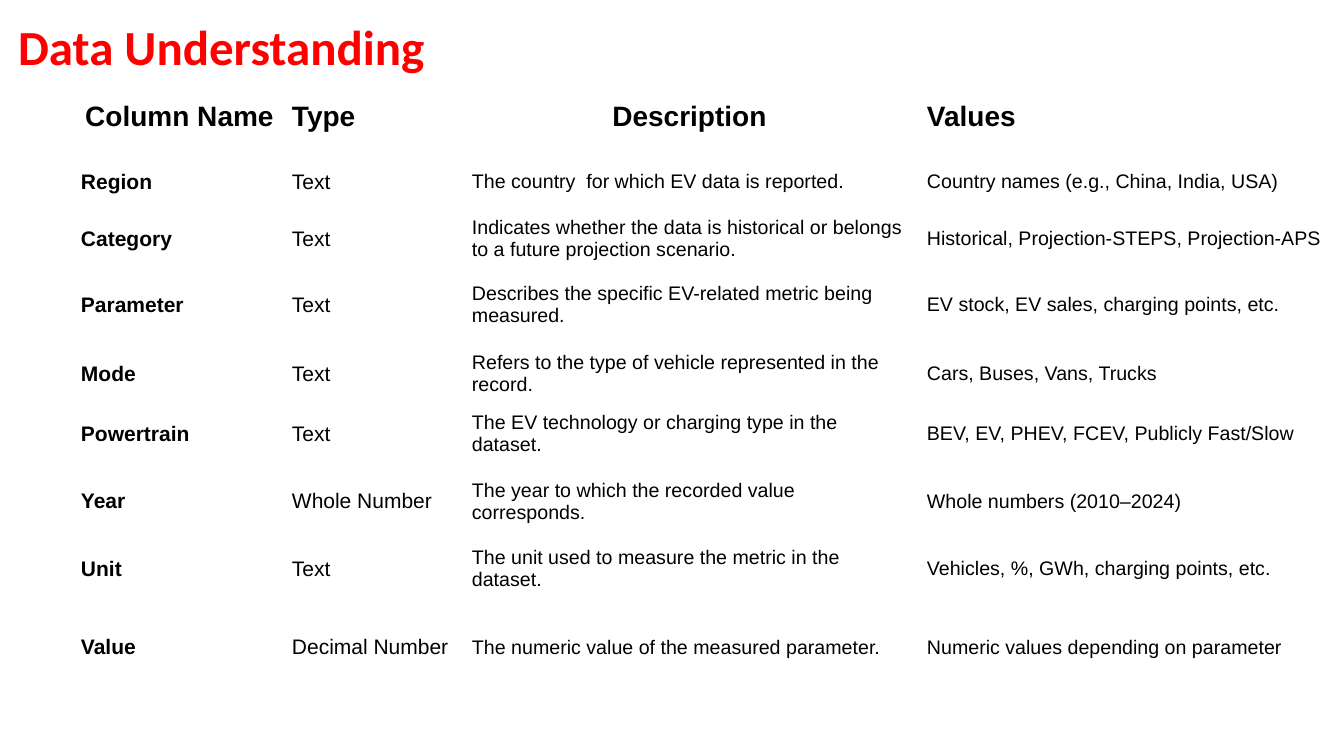
from pptx import Presentation
from pptx.dml.color import RGBColor
from pptx.enum.text import MSO_ANCHOR as Anchor, MSO_AUTO_SIZE as AutoSize, PP_ALIGN as Align
from pptx.util import Emu, Pt

EMU_PER_PX = 914400 / 100.8
RED = RGBColor(0xFF, 0x00, 0x00)
BLACK = RGBColor(0x00, 0x00, 0x00)

COLUMN_WIDTHS = (211, 177, 455, 455)
ROW_HEIGHTS = (70, 60, 53, 78, 60, 60, 75, 60, 97)
SIDE_MARGINS = (7, 7, 10, 10)
EDGE_MARGINS = (4, 4, 5, 5)
BODY_SIZES = (15, 15, 14, 14)
HEADER_ALIGNMENTS = (Align.CENTER, Align.LEFT, Align.CENTER, Align.LEFT)
ROWS = (
    ("Column Name", "Type", "Description", "Values"),
    ("Region", "Text", "The country  for which EV data is reported.",
     "Country names (e.g., China, India, USA)"),
    ("Category", "Text",
     "Indicates whether the data is historical or belongs to a future projection scenario.",
     "Historical, Projection-STEPS, Projection-APS"),
    ("Parameter", "Text", "Describes the specific EV-related metric being measured.",
     "EV stock, EV sales, charging points, etc."),
    ("Mode", "Text", "Refers to the type of vehicle represented in the record.",
     "Cars, Buses, Vans, Trucks"),
    ("Powertrain", "Text", "The EV technology or charging type in the dataset.",
     "BEV, EV, PHEV, FCEV, Publicly Fast/Slow"),
    ("Year", "Whole Number", "The year to which the recorded value corresponds.",
     "Whole numbers (2010–2024)"),
    ("Unit", "Text", "The unit used to measure the metric in the dataset.",
     "Vehicles, %, GWh, charging points, etc."),
    ("Value", "Decimal Number", "The numeric value of the measured parameter.",
     "Numeric values depending on parameter"),
)


def px(length):
    return Emu(round(length * EMU_PER_PX))


def write(frame, text, font_name, size, color, bold, align=Align.LEFT):
    para = frame.paragraphs[0]
    para.alignment = align
    span = para.add_run()
    span.text = text
    font = span.font
    font.name, font.size, font.bold = font_name, Pt(size), bold
    font.color.rgb = color


def add_title(page, text):
    title = page.shapes.title
    title.left, title.top, title.width, title.height = map(px, (8, 10, 434, 72))
    title.text_frame.word_wrap = False
    title.text_frame.auto_size = AutoSize.NONE
    write(title.text_frame, text, "Calibri", 35, RED, True)


def fill_cell(cell, text, row, column):
    is_header = row == 0
    cell.fill.background()
    cell.vertical_anchor = Anchor.MIDDLE
    cell.margin_left = cell.margin_right = px(SIDE_MARGINS[column])
    cell.margin_top = cell.margin_bottom = px(EDGE_MARGINS[column])
    write(cell.text_frame, text, "Arial",
          20 if is_header else BODY_SIZES[column], BLACK,
          is_header or column == 0,
          HEADER_ALIGNMENTS[column] if is_header else Align.LEFT)


def add_column_table(page):
    table = page.shapes.add_table(
        len(ROWS), len(COLUMN_WIDTHS), px(74), px(82),
        px(sum(COLUMN_WIDTHS)), px(sum(ROW_HEIGHTS))).table
    table.first_row = table.horz_banding = False
    for column, width in zip(table.columns, COLUMN_WIDTHS):
        column.width = px(width)
    for row, height in zip(table.rows, ROW_HEIGHTS):
        row.height = px(height)
    for row, texts in enumerate(ROWS):
        for column, text in enumerate(texts):
            fill_cell(table.cell(row, column), text, row, column)


def main():
    deck = Presentation()
    deck.slide_width, deck.slide_height = px(1344), px(756)
    page = deck.slides.add_slide(deck.slide_layouts.get_by_name("Title Only"))
    add_title(page, "Data Understanding")
    add_column_table(page)
    deck.save("out.pptx")


if __name__ == "__main__":
    main()
